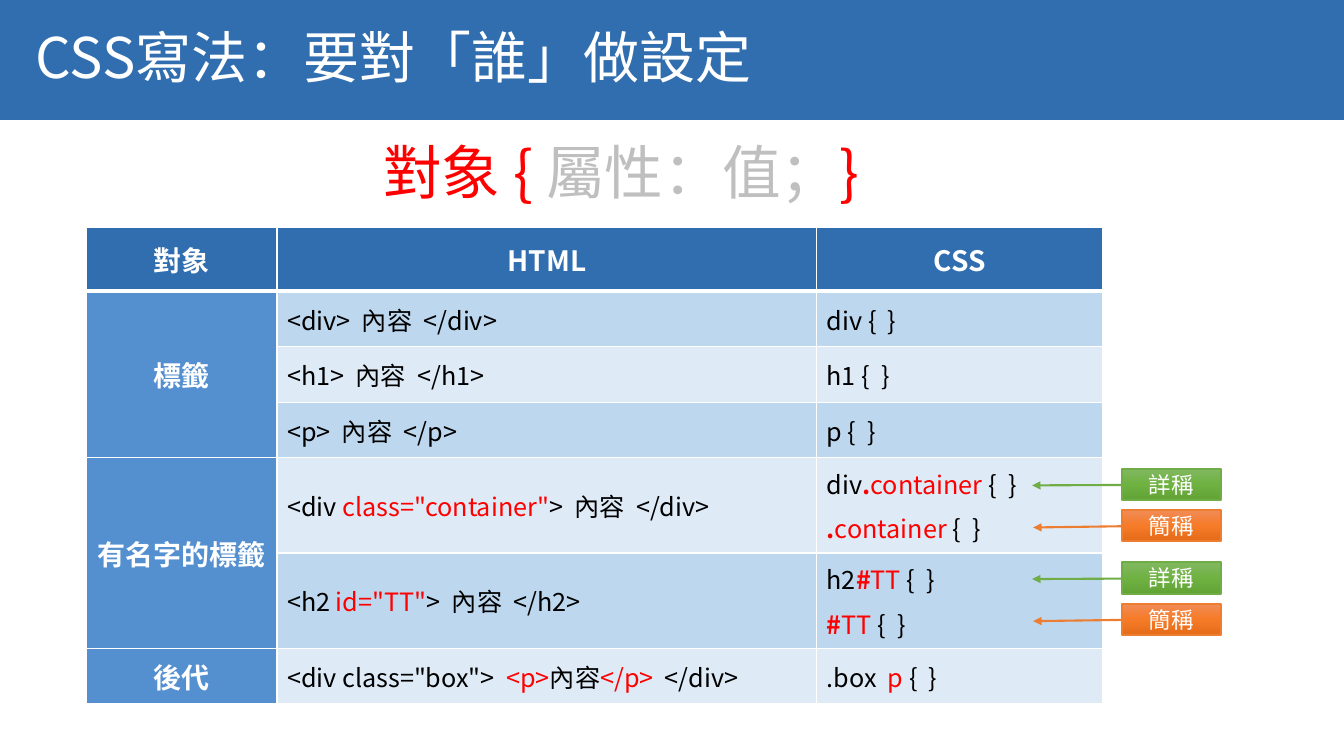
from copy import deepcopy
from lxml.etree import SubElement
from pptx import Presentation
from pptx.dml.color import RGBColor
from pptx.enum.shapes import MSO_SHAPE
from pptx.enum.text import MSO_ANCHOR, PP_ALIGN
from pptx.oxml.ns import qn
from pptx.util import Cm, Pt

FONT = "Noto Sans CJK SC"
WHITE = RGBColor(0xFF, 0xFF, 0xFF)
BLACK = RGBColor(0x00, 0x00, 0x00)
RED = RGBColor(0xFF, 0x00, 0x00)
GRAY = RGBColor(0xBF, 0xBF, 0xBF)
NAVY = RGBColor(0x30, 0x6E, 0xB0)
BLUE = RGBColor(0x54, 0x8F, 0xD0)
BAND_DARK = RGBColor(0xBD, 0xD7, 0xEE)
BAND_LIGHT = RGBColor(0xDE, 0xEB, 0xF7)
GREEN = RGBColor(0x70, 0xAD, 0x47)
GREEN_STOPS = [RGBColor(0x81, 0xB8, 0x61), RGBColor(0x6F, 0xB2, 0x42), RGBColor(0x62, 0xA3, 0x36)]
ORANGE = RGBColor(0xED, 0x7D, 0x31)
ORANGE_STOPS = [RGBColor(0xF1, 0x8C, 0x57), RGBColor(0xF6, 0x7B, 0x28), RGBColor(0xE5, 0x6C, 0x19)]


def add_run(p, text, size, color, bold=False):
    r = p.add_run()
    r.text = text
    r.font.size = Pt(size)
    r.font.bold = bold
    r.font.name = FONT
    r.font.color.rgb = color
    SubElement(r.font._element, qn("a:ea"), typeface=FONT)


def add_border(cell, side, width):
    ln = SubElement(cell._tc.get_or_add_tcPr(), qn(f"a:{side}"), w=str(Pt(width)))
    fill = SubElement(ln, qn("a:solidFill"))
    SubElement(fill, qn("a:srgbClr"), val=str(WHITE))


prs = Presentation()
prs.slide_width, prs.slide_height = Cm(33.87), Cm(19.05)
s = prs.slides.add_slide(prs.slide_layouts[6])

title = s.shapes.add_shape(MSO_SHAPE.RECTANGLE, 0, 0, prs.slide_width, Cm(3.02))
title.shadow.inherit = False
title.fill.solid()
title.fill.fore_color.rgb = NAVY
title.line.fill.background()
tf = title.text_frame
tf.margin_left = Cm(0.9)
tf.vertical_anchor = MSO_ANCHOR.MIDDLE
p = tf.paragraphs[0]
p.alignment = PP_ALIGN.LEFT
p.line_spacing = 0.9
add_run(p, "CSS寫法：要對「誰」做設定", 40, WHITE)

formula = s.shapes.add_textbox(Cm(1.57), Cm(3.43), Cm(28.17), Cm(2.08))
tf = formula.text_frame
tf.word_wrap = True
p = tf.paragraphs[0]
p.alignment = PP_ALIGN.CENTER
p.line_spacing = 0.95
for text, color in [("對象 { ", RED), ("屬性：值；", GRAY), ("}", RED)]:
    add_run(p, text, 41.9, color)

columns = [4.8, 13.6, 7.2]
heights = [1.6, 1.4, 1.4, 1.4, 2.4, 2.4, 1.4]
headers = ["對象", "HTML", "CSS"]
groups = [("標籤", 1, 3), ("有名字的標籤", 4, 5), ("後代", 6, 6)]
examples = [
    ([[("<div>  內容  </div>", BLACK)]], [[("div {  }", BLACK)]]),
    ([[("<h1>  內容  </h1>", BLACK)]], [[("h1 {  }", BLACK)]]),
    ([[("<p>  內容  </p>", BLACK)]], [[("p {  }", BLACK)]]),
    ([[("<div ", BLACK), ('class="container"', RED), (">  內容  </div>", BLACK)]],
     [[("div", BLACK), (".", RED, True), ("container", RED), (" {  }", BLACK)],
      [(".", RED, True), ("container", RED), (" {  }", BLACK)]]),
    ([[("<h2 ", BLACK), ('id="TT"', RED), (">  內容  </h2>", BLACK)]],
     [[("h2", BLACK), ("#", RED, True), ("TT ", RED), ("{  }", BLACK)],
      [("#", RED, True), ("TT ", RED), ("{  }", BLACK)]]),
    ([[('<div class="box">  ', BLACK), ("<p>", RED), ("內容", BLACK),
       ("</p>  ", RED), ("</div>", BLACK)]],
     [[(".box  ", BLACK), ("p", RED), (" {  }", BLACK)]]),
]
band_fills = [BAND_DARK, BAND_LIGHT, BAND_DARK, BAND_LIGHT, BAND_DARK, BAND_LIGHT]

table = s.shapes.add_table(len(heights), len(columns), Cm(2.18), Cm(5.74),
                           Cm(sum(columns)), Cm(sum(heights))).table
table.first_row = False
table.horz_banding = False
for col, width in zip(table.columns, columns):
    col.width = Cm(width)
for i, (row, height) in enumerate(zip(table.rows, heights)):
    row.height = Cm(height)
    for j, cell in enumerate(row.cells):
        cell.vertical_anchor = MSO_ANCHOR.MIDDLE
        add_border(cell, "lnL", 1)
        add_border(cell, "lnR", 1)
        add_border(cell, "lnT", 3 if i == 1 else 1)
        add_border(cell, "lnB", 3 if i == 0 else 1)
        cell.fill.solid()
        cell.fill.fore_color.rgb = NAVY if i == 0 else BLUE if j == 0 else band_fills[i - 1]

labels = [(table.cell(0, j), text) for j, text in enumerate(headers)]
for text, first, last in groups:
    cell = table.cell(first, 0)
    if last > first:
        cell.merge(table.cell(last, 0))
    labels.append((cell, text))
for cell, text in labels:
    p = cell.text_frame.paragraphs[0]
    p.alignment = PP_ALIGN.CENTER
    add_run(p, text, 20, WHITE, True)

for i, example in enumerate(examples, 1):
    for j, lines in enumerate(example, 1):
        tf = table.cell(i, j).text_frame
        for k, line in enumerate(lines):
            p = tf.add_paragraph() if k else tf.paragraphs[0]
            if j == 2 and i >= 4:
                p.space_after = Pt(6)
            for text, color, *bold in line:
                add_run(p, text, 18, color, bool(bold))

callouts = [
    ("詳稱", GREEN, GREEN_STOPS, (0.521, 0.009, 0.535, -0.907)),
    ("簡稱", ORANGE, ORANGE_STOPS, (0.521, 0.009, 0.561, -0.896)),
]
for group_top in (11.81, 14.17):
    for k, (text, color, shades, adjustments) in enumerate(callouts):
        sp = s.shapes.add_shape(MSO_SHAPE.LINE_CALLOUT_1, Cm(28.27), Cm(group_top + 1.04 * k),
                                Cm(2.49), Cm(0.79))
        sp.shadow.inherit = False
        for n, value in enumerate(adjustments):
            sp.adjustments[n] = value
        sp.fill.gradient()
        sp.fill.gradient_angle = 270
        stops = sp._element.spPr.find(".//" + qn("a:gsLst"))
        stops.append(deepcopy(stops[0]))
        for n, (stop, shade) in enumerate(zip(sp.fill.gradient_stops, shades)):
            stop.color.rgb = shade
            stop.position = n / 2
        sp.line.color.rgb = color
        sp.line.width = Pt(1.5)
        SubElement(sp._element.spPr.find(qn("a:ln")), qn("a:tailEnd"), type="triangle")
        tf = sp.text_frame
        tf.vertical_anchor = MSO_ANCHOR.MIDDLE
        p = tf.paragraphs[0]
        p.alignment = PP_ALIGN.CENTER
        add_run(p, text, 16, WHITE)

prs.save("out.pptx")
